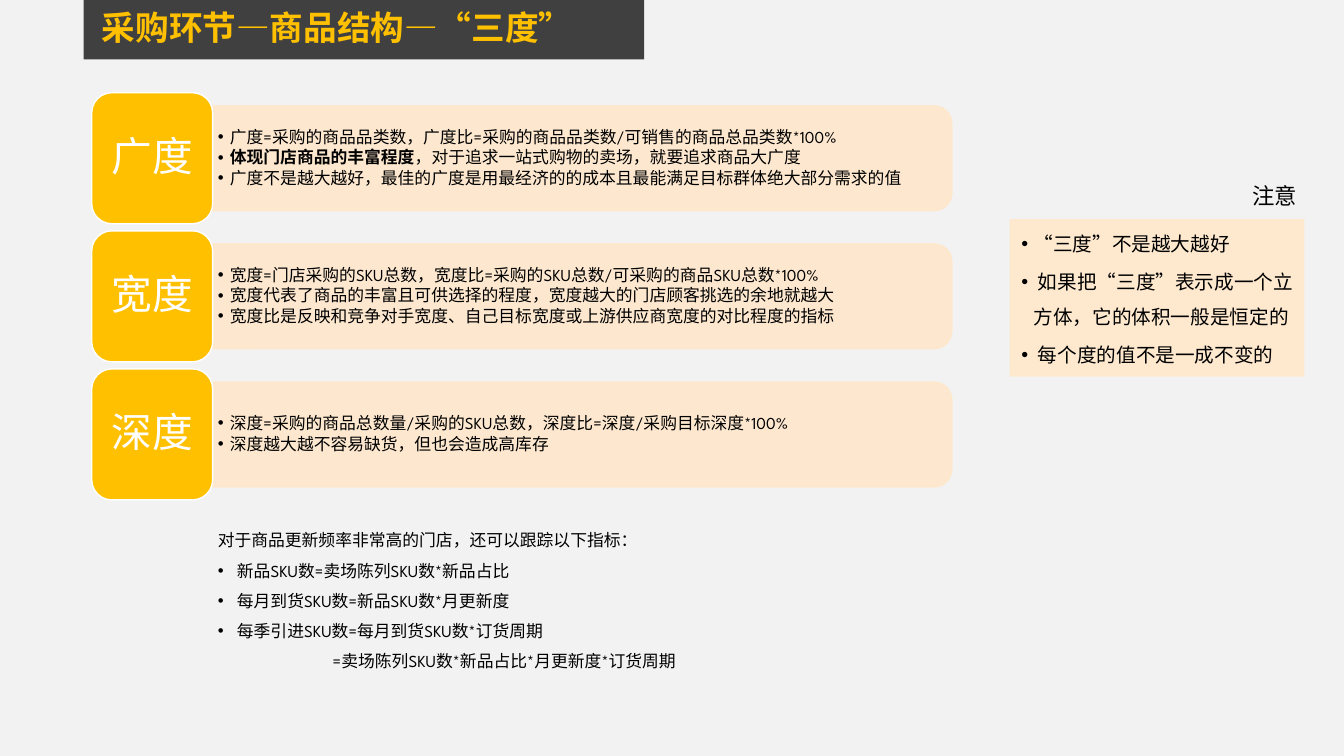
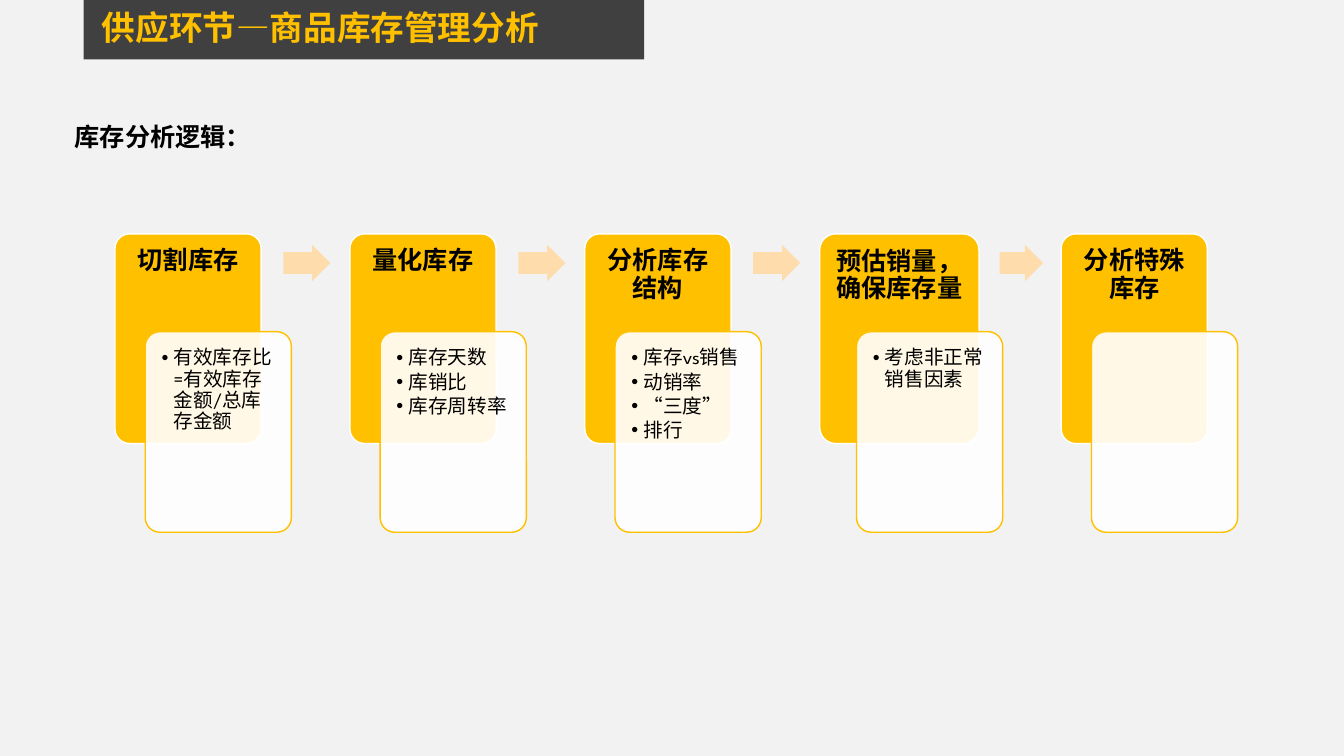
"""Build two slides on retail assortment and stock analysis."""
from lxml.etree import SubElement
from pptx import Presentation
from pptx.dml.color import RGBColor
from pptx.enum.shapes import MSO_SHAPE
from pptx.enum.text import MSO_ANCHOR, MSO_AUTO_SIZE, PP_ALIGN
from pptx.oxml.ns import qn
from pptx.util import Inches, Pt

FONT = "League Spartan"
COLORS = {
    "background": "F2F2F2", "band": "404040", "accent": "FFC000", "panel": "FFE8CC",
    "note": "FEE9CF", "arrow": "FFDCAB", "white": "FFFFFF", "text": "000000",
}

DEGREES = [
    ("广度", [
        "广度=采购的商品品类数，广度比=采购的商品品类数/可销售的商品总品类数*100%",
        ("体现门店商品的丰富程度", "，对于追求一站式购物的卖场，就要追求商品大广度"),
        "广度不是越大越好，最佳的广度是用最经济的的成本且最能满足目标群体绝大部分需求的值",
    ]),
    ("宽度", [
        "宽度=门店采购的SKU总数，宽度比=采购的SKU总数/可采购的商品SKU总数*100%",
        "宽度代表了商品的丰富且可供选择的程度，宽度越大的门店顾客挑选的余地就越大",
        "宽度比是反映和竞争对手宽度、自己目标宽度或上游供应商宽度的对比程度的指标",
    ]),
    ("深度", [
        "深度=采购的商品总数量/采购的SKU总数，深度比=深度/采购目标深度*100%",
        "深度越大越不容易缺货，但也会造成高库存",
    ]),
]
METRICS_INTRO = "对于商品更新频率非常高的门店，还可以跟踪以下指标："
METRICS = [
    "新品SKU数=卖场陈列SKU数*新品占比",
    "每月到货SKU数=新品SKU数*月更新度",
    "每季引进SKU数=每月到货SKU数*订货周期",
]
METRICS_RESULT = "=卖场陈列SKU数*新品占比*月更新度*订货周期"
NOTES = ["“三度”不是越大越好", " 如果把“三度”表示成一个立方体，它的体积一般是恒定的", " 每个度的值不是一成不变的"]
STEPS = [
    ("切割库存", 1.45, ["有效库存比=有效库存金额/总库存金额"]),
    ("量化库存", 1.45, ["库存天数", "库销比", "库存周转率"]),
    ("分析库存结构", 1.45, ["库存vs销售", "动销率", "“三度”", "排行"]),
    ("预估销量，确保库存量", 1.58, ["考虑非正常销售因素"]),
    ("分析特殊库存", 1.45, []),
]


def place(shape, left, top, width, height):
    shape.left, shape.top = Inches(left), Inches(top)
    shape.width, shape.height = Inches(width), Inches(height)


def paint(color_format, fill, alpha):
    color_format.solid()
    color_format.fore_color.rgb = RGBColor.from_string(COLORS[fill])
    if alpha < 100:
        color = color_format._xPr.find(qn("a:solidFill"))[0]
        SubElement(color, qn("a:alpha")).set("val", str(alpha * 1000))


def add_box(slide, kind, box, fill, line=None, fill_alpha=100, line_alpha=100, adjust=()):
    shape = slide.shapes.add_shape(kind, *map(Inches, box))
    shape.shadow.inherit = False
    for index, value in enumerate(adjust):
        shape.adjustments[index] = value
    paint(shape.fill, fill, fill_alpha)
    if line:
        shape.line.width = Pt(1)
        paint(shape.line.fill, line, line_alpha)
    else:
        shape.line.fill.background()
    return shape


def set_frame(shape, insets=(0.1, 0.05, 0.1, 0.05), anchor=MSO_ANCHOR.TOP, wrap=True):
    frame = shape.text_frame
    frame.auto_size = MSO_AUTO_SIZE.NONE
    frame.word_wrap = wrap
    frame.vertical_anchor = anchor
    frame.margin_left, frame.margin_top, frame.margin_right, frame.margin_bottom = map(Inches, insets)
    return frame


def write(frame, items, size, color="text", bold=False, align=PP_ALIGN.LEFT,
          spacing=1.0, after=0, bullet=False, margin=0, first=True):
    """Write one paragraph per item; a tuple item starts with a bold run."""
    for index, item in enumerate(items):
        paragraph = frame.paragraphs[0] if first and index == 0 else frame.add_paragraph()
        properties = paragraph._p.get_or_add_pPr()
        properties.set("marL", str(Inches(margin)))
        properties.set("indent", str(Inches(-margin if bullet else 0)))
        if bullet:
            SubElement(properties, qn("a:buFont")).set("typeface", "Arial")
            SubElement(properties, qn("a:buChar")).set("char", "•")
        else:
            SubElement(properties, qn("a:buNone"))
        paragraph.alignment = align
        paragraph.line_spacing = spacing
        paragraph.space_before, paragraph.space_after = Pt(0), Pt(after)
        font = paragraph.font
        font.name, font.size, font.bold = FONT, Pt(size), bold
        font.color.rgb = RGBColor.from_string(COLORS[color])
        parts = item if isinstance(item, tuple) else (item,)
        for part in parts:
            paragraph.add_run().text = part
        if len(parts) > 1:
            paragraph.runs[0].font.bold = True


def add_slide(presentation, layout, title):
    slide = presentation.slides.add_slide(layout)
    write(set_frame(slide.shapes.title), [title], 24, "accent", bold=True, spacing=0.9)
    return slide


def set_up_layout(presentation):
    """Put the shared background, band and title position in the template."""
    paint(presentation.slide_master.background.fill, "background", 100)
    layout = presentation.slide_layouts[1]
    place(layout.placeholders[0], 0.91, 0.06, 5.59, 0.5)
    return layout


def share_band(slide, layout):
    band = add_box(slide, MSO_SHAPE.RECTANGLE, (0.83, 0, 5.56, 0.59), "band")
    layout.shapes._spTree.insert(2, band._element)


def build_degrees(slide):
    tile_left, tile_top, tile_width, tile_height, pitch = 0.91, 0.92, 1.2, 1.3, 1.37
    panel_left, panel_width, panel_height = tile_left + tile_width, 7.33, 1.04
    for row, (name, points) in enumerate(DEGREES):
        top = tile_top + row * pitch
        middle = top + tile_height / 2
        panel = add_box(
            slide, MSO_SHAPE.ROUND_2_SAME_RECTANGLE,
            (panel_left + (panel_width - panel_height) / 2, middle - panel_width / 2,
             panel_height, panel_width),
            "panel", "panel", 90, 90)
        panel.rotation = 90
        text_box = slide.shapes.add_textbox(
            Inches(panel_left), Inches(middle - 0.47), Inches(7.28), Inches(0.94))
        frame = set_frame(text_box, (0.05, 0.03, 0.05, 0.03), MSO_ANCHOR.MIDDLE)
        write(frame, points, 12, spacing=0.9, after=1.8, bullet=True, margin=0.12)
        tile = add_box(slide, MSO_SHAPE.ROUNDED_RECTANGLE,
                       (tile_left, top, tile_width, tile_height), "accent", "white")
        write(set_frame(tile, anchor=MSO_ANCHOR.MIDDLE), [name], 29, "white",
              align=PP_ALIGN.CENTER, spacing=0.9)

    body = slide.placeholders[1]
    place(body, 2.06, 5.11, 6.33, 1.62)
    frame = set_frame(body)
    write(frame, [METRICS_INTRO], 12, spacing=1.5)
    write(frame, METRICS, 12, spacing=1.5, bullet=True, margin=0.19, first=False)
    write(frame, [METRICS_RESULT], 12, spacing=1.5, margin=1.14, first=False)

    note = add_box(slide, MSO_SHAPE.RECTANGLE, (10.02, 2.18, 2.91, 1.55),
                   "note", "panel", line_alpha=90)
    frame = set_frame(note, (0.11, 0, 0.01, 0.09), MSO_ANCHOR.MIDDLE)
    write(frame, NOTES, 14, spacing=1.5, after=2.1, bullet=True, margin=0.12)
    label = slide.shapes.add_textbox(*map(Inches, (12.32, 1.76, 0.65, 0.37)))
    write(set_frame(label, wrap=False), ["注意"], 16)


def build_steps(slide):
    body = slide.placeholders[1]
    place(body, 0.64, 1.15, 4.48, 0.4)
    write(set_frame(body), ["库存分析逻辑："], 18, bold=True)

    left, top, card_width, pitch = 1.14, 2.32, 1.45, 2.33
    for index, (name, width, points) in enumerate(STEPS):
        widening = (width - card_width) / 2
        next_left = left + pitch + widening
        head = add_box(slide, MSO_SHAPE.ROUNDED_RECTANGLE, (left, top, width, 2.08),
                       "accent", "white", adjust=[0.1])
        write(set_frame(head, (0.1, 0.1, 0.1, 0.07)), [name], 18, bold=True,
              align=PP_ALIGN.CENTER, spacing=0.9)
        detail = add_box(slide, MSO_SHAPE.ROUNDED_RECTANGLE,
                         (left + widening + 0.3, top + 0.97, card_width, 1.99),
                         "white", "accent", fill_alpha=90, adjust=[0.1])
        write(set_frame(detail, (0.12, 0.12, 0.12, 0.12)), points, 14, spacing=0.9,
              after=2.1, bullet=True, margin=0.12)
        if index < len(STEPS) - 1:
            gap = next_left - left - width
            add_box(slide, MSO_SHAPE.RIGHT_ARROW,
                    (left + width + gap / 4, top + 0.11, gap * 0.53, 0.36),
                    "arrow", adjust=[0.6, 0.5])
        left = next_left


def main():
    presentation = Presentation()
    presentation.slide_width, presentation.slide_height = Inches(13.33), Inches(7.5)
    layout = set_up_layout(presentation)
    degrees = add_slide(presentation, layout, "采购环节—商品结构—“三度”")
    share_band(degrees, layout)
    build_degrees(degrees)
    build_steps(add_slide(presentation, layout, "供应环节—商品库存管理分析"))
    presentation.save("out.pptx")


if __name__ == "__main__":
    main()
